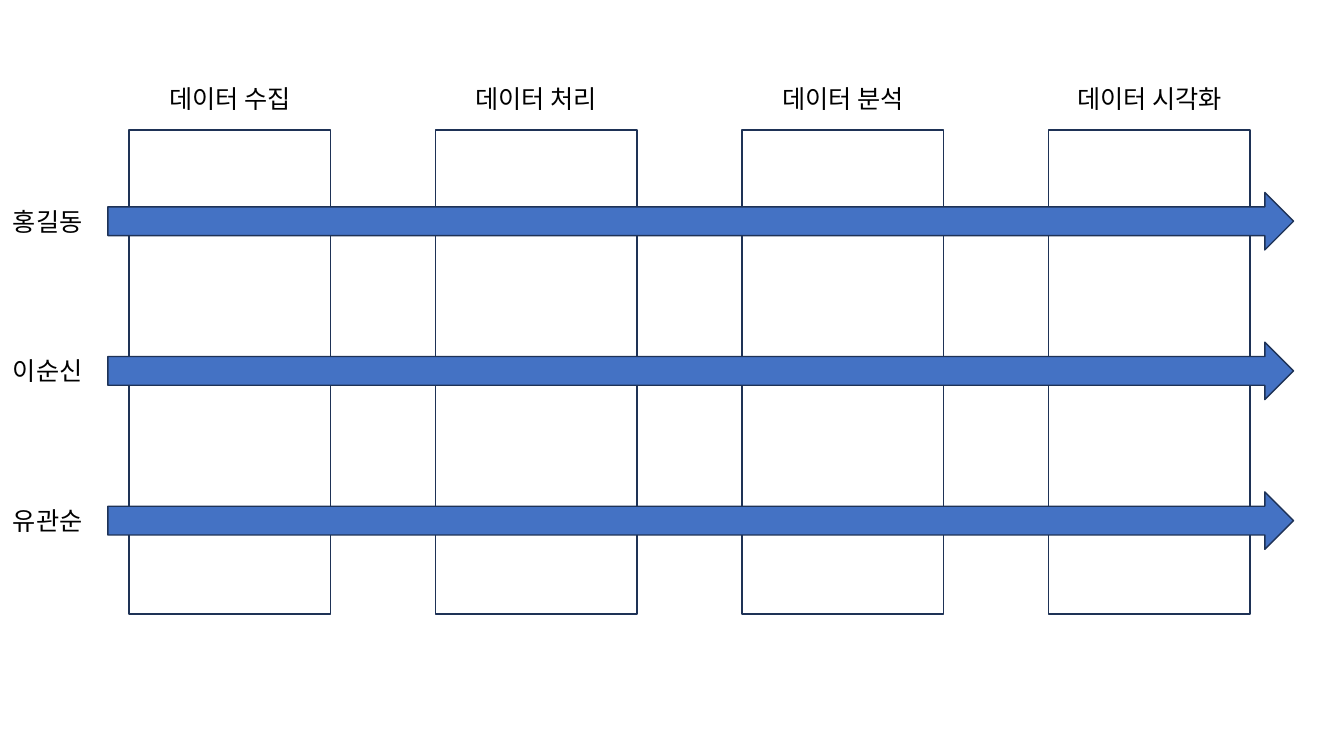
from lxml import etree
from pptx import Presentation
from pptx.dml.color import RGBColor
from pptx.enum.shapes import MSO_SHAPE
from pptx.enum.text import MSO_AUTO_SIZE, PP_ALIGN
from pptx.oxml.ns import qn
from pptx.util import Inches, Pt

RECT, ARROW = MSO_SHAPE.RECTANGLE, MSO_SHAPE.RIGHT_ARROW
FIT, LEFT, CENTER = MSO_AUTO_SIZE.SHAPE_TO_FIT_TEXT, PP_ALIGN.LEFT, PP_ALIGN.CENTER
COLORS = {"box": "FFFFFF", "arrow": "4472C4", "line": "1E3256", "text": "000000"}
FONT = "Noto Sans CJK KR"

# Each stage has its name and the width of its heading
STAGES = [("데이터 수집", 1.55), ("데이터 처리", 1.55),
          ("데이터 분석", 1.55), ("데이터 시각화", 1.81)]
PEOPLE = ["홍길동", "이순신", "유관순"]
STAGE_LEFT, STAGE_STEP, STAGE_WIDTH = 1.28, 3.04, 2
ARROW_TOP, ARROW_STEP, ARROW_HEIGHT = 1.91, 1.485, 0.57
LABEL_HEIGHT = 0.4


def add_block(kind, x, y, w, h, fill):
    sp = slide.shapes.add_shape(kind, Inches(x), Inches(y), Inches(w), Inches(h))
    sp.shadow.inherit = False
    sp.fill.solid()
    sp.fill.fore_color.rgb = RGBColor.from_string(COLORS[fill])
    sp.line.color.rgb = RGBColor.from_string(COLORS["line"])
    sp.line.width = Pt(1)


def add_label(text, x, y, w, align):
    sp = slide.shapes.add_textbox(Inches(x), Inches(y), Inches(w), Inches(LABEL_HEIGHT))
    tf = sp.text_frame
    tf.word_wrap = False
    tf.auto_size = FIT
    p = tf.paragraphs[0]
    p.alignment = align
    r = p.add_run()
    r.text = text
    for name, value in {"size": Pt(18), "name": FONT}.items():
        setattr(r.font, name, value)
    r.font.color.rgb = RGBColor.from_string(COLORS["text"])
    # Korean text takes its typeface from the East Asian font
    etree.SubElement(r._r.get_or_add_rPr(), qn("a:ea"), typeface=FONT)


prs = Presentation()
prs.slide_width, prs.slide_height = Inches(13.33), Inches(7.5)
slide = prs.slides.add_slide(prs.slide_layouts[6])

for i, (stage, width) in enumerate(STAGES):
    x = STAGE_LEFT + i * STAGE_STEP
    add_block(RECT, x, 1.29, STAGE_WIDTH, 4.8, "box")
    add_label(stage, x + (STAGE_WIDTH - width) / 2, 0.78, width, CENTER)

for i, person in enumerate(PEOPLE):
    y = ARROW_TOP + i * ARROW_STEP
    add_block(ARROW, 1.07, y, 11.76, ARROW_HEIGHT, "arrow")
    add_label(person, 0.03, y + (ARROW_HEIGHT - LABEL_HEIGHT) / 2, 0.96, LEFT)

prs.save("out.pptx")
